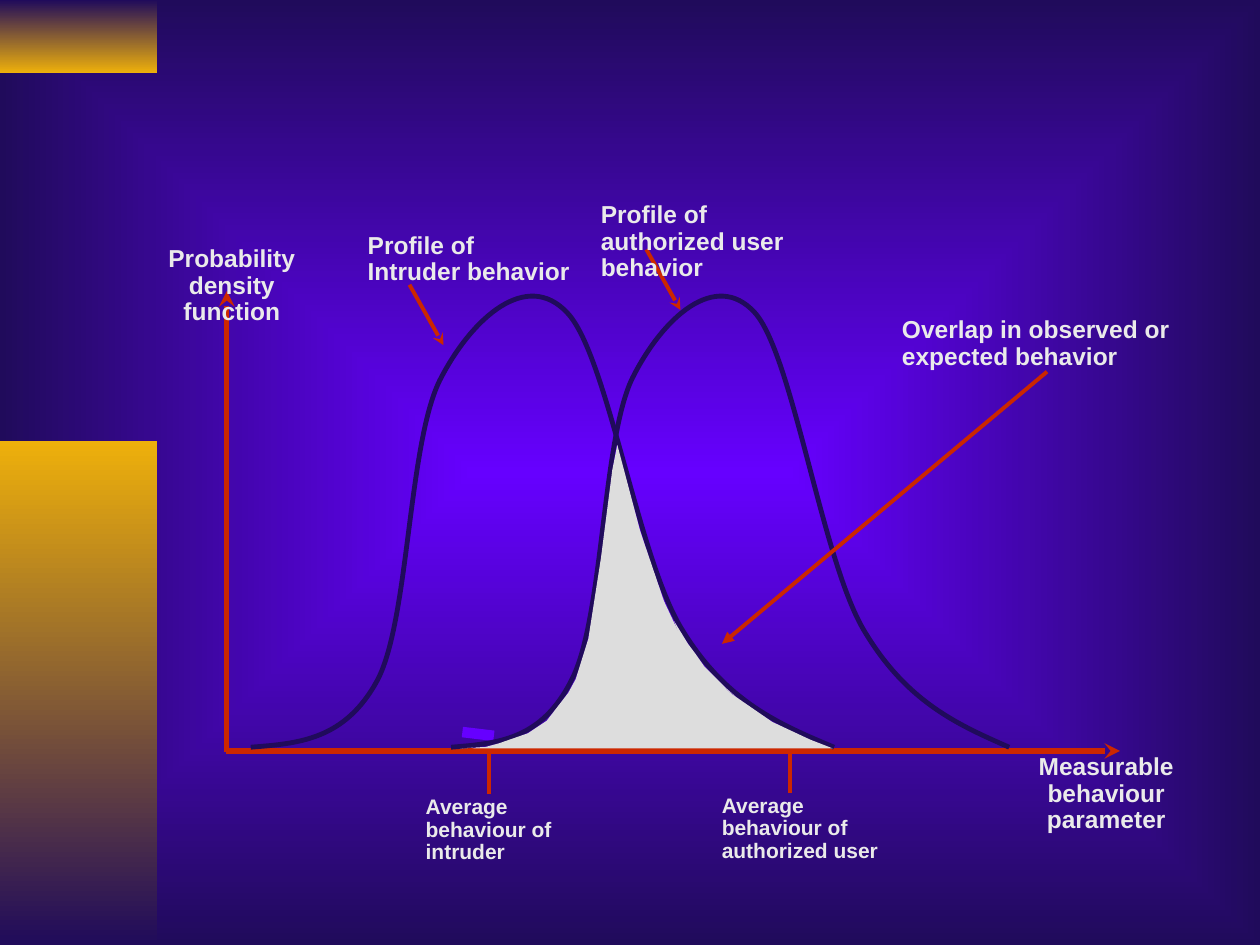
from dataclasses import dataclass

from lxml.etree import SubElement
from pptx import Presentation
from pptx.dml.color import RGBColor
from pptx.enum.shapes import MSO_CONNECTOR as Connector, MSO_SHAPE as Shape
from pptx.enum.text import MSO_AUTO_SIZE as AutoSize, PP_ALIGN as Align
from pptx.oxml.ns import qn
from pptx.util import Emu, Pt

PX = 9144  # EMU in one px; 100 px make an inch
COLORS = {
    "violet": "6600FF",
    "navy": "200B5B",
    "gold": "EEB00B",
    "red": "CC2700",
    "grey": "DDDDDD",
    "text": "EAEAEA",
}
Point = tuple[int, int]


@dataclass
class Panel:
    top: int
    height: int
    start: str
    end: str


@dataclass
class Line:
    start: Point
    end: Point
    width: float = 2.25
    head: str = ""
    color: str = "red"


@dataclass
class Label:
    text: str
    left: int
    top: int
    width: int
    height: int
    size: int = 14
    align: Align = Align.LEFT


PANELS = [Panel(0, 58, "navy", "gold"), Panel(350, 400, "gold", "navy")]
AXES = [
    Line((180, 597), (180, 231), 3, "stealth"),
    Line((179, 596), (889, 596), 3, "stealth"),
    Line((367, 581), (392, 584), 6, color="violet"),
]
POINTERS = [
    Line((831, 295), (573, 511), head="triangle"),
    Line((513, 198), (540, 246), head="stealth"),
    Line((325, 226), (352, 274), head="stealth"),
]
TICKS = [Line((388, 598), (388, 630)), Line((627, 596), (627, 629))]
# Each curve is a start point followed by Bezier triples.
INTRUDER_CURVE = [
    (199, 593),
    (236, 590), (274, 588), (300, 539),
    (325, 490), (324, 349), (350, 300),
    (375, 252), (418, 214), (450, 248),
    (482, 281), (506, 442), (541, 499),
    (576, 557), (619, 575), (662, 593),
]
USER_CURVE = [
    (358, 593),
    (394, 590), (430, 588), (454, 539),
    (479, 490), (478, 349), (502, 300),
    (526, 252), (568, 214), (599, 248),
    (629, 281), (652, 442), (685, 499),
    (719, 557), (760, 575), (801, 593),
]
OVERLAP = [
    (365, 594), (385, 593), (396, 590), (419, 582), (434, 572), (451, 550),
    (457, 539), (467, 507), (477, 443), (486, 373), (490, 353), (508, 421),
    (511, 430), (527, 477), (549, 524), (581, 551), (613, 573), (643, 587),
    (661, 594), (375, 594), (383, 593),
]
OVERLAP_EDGE = [
    (535, 493), (546, 511), (552, 519), (559, 529), (567, 537), (576, 546),
    (584, 553), (546, 524), (535, 493),
]
LABELS = [
    Label("Overlap in observed or expected behavior", 706, 247, 239, 52),
    Label("Profile of authorized user behavior", 467, 156, 204, 73),
    Label("Profile of Intruder behavior", 282, 180, 183, 52),
    Label("Probability density function", 102, 191, 164, 73, align=Align.CENTER),
    Label("Average behaviour of intruder", 328, 627, 162, 64, 12),
    Label("Average behaviour of authorized user", 563, 626, 162, 64, 12),
    Label("Measurable behaviour parameter", 773, 594, 210, 73, align=Align.CENTER),
]


def px(length: int) -> Emu:
    return Emu(length * PX)


def rgb(name: str) -> RGBColor:
    return RGBColor.from_string(COLORS[name])


def set_gradient(fill, start: str, end: str) -> None:
    fill.gradient()
    for stop, name in zip(fill.gradient_stops, (start, end)):
        stop.color.rgb = rgb(name)
    fill.gradient_angle = 270


def paint_background(page) -> None:
    """Fill the page with a gradient that spreads from its centre."""
    set_gradient(page.background.fill, "violet", "navy")
    gradient = page.element.xpath(".//p:bgPr/a:gradFill")[0]
    linear = gradient.find(qn("a:lin"))
    spread = SubElement(gradient, qn("a:path"), path="rect")
    SubElement(spread, qn("a:fillToRect"), l="50000", t="50000", r="50000", b="50000")
    gradient.replace(linear, spread)


def draw_panel(page, panel: Panel) -> None:
    box = page.shapes.add_shape(
        Shape.RECTANGLE, 0, px(panel.top), px(125), px(panel.height)
    )
    box.shadow.inherit = False
    box.line.fill.background()
    set_gradient(box.fill, panel.start, panel.end)


def draw_line(page, line: Line) -> None:
    ends = [px(value) for value in line.start + line.end]
    connector = page.shapes.add_connector(Connector.STRAIGHT, *ends)
    connector.line.color.rgb = rgb(line.color)
    connector.line.width = Pt(line.width)
    if line.head:
        SubElement(connector.line._get_or_add_ln(), qn("a:tailEnd"), type=line.head)
    SubElement(connector.element.spPr, qn("a:effectLst"))


def draw_outline(page, points: list[Point]):
    builder = page.shapes.build_freeform(*points[0], scale=PX)
    builder.add_line_segments(points[1:], close=False)
    outline = builder.convert_to_shape()
    outline.shadow.inherit = False
    return outline


def draw_region(page, points: list[Point]) -> None:
    region = draw_outline(page, points)
    region.fill.solid()
    region.fill.fore_color.rgb = rgb("grey")
    region.line.fill.background()


def draw_curve(page, points: list[Point]) -> None:
    """Turn every three straight segments of an outline into one Bezier."""
    curve = draw_outline(page, points)
    curve.fill.background()
    curve.line.color.rgb = rgb("navy")
    curve.line.width = Pt(2.75)
    route = curve.element.xpath(".//a:path")[0]
    segments = route.findall(qn("a:lnTo"))
    for first in range(0, len(segments), 3):
        bezier = SubElement(route, qn("a:cubicBezTo"))
        for segment in segments[first:first + 3]:
            bezier.append(segment[0])
            route.remove(segment)


def draw_label(page, label: Label) -> None:
    box = page.shapes.add_textbox(
        px(label.left), px(label.top), px(label.width), px(label.height)
    )
    frame = box.text_frame
    frame.word_wrap = True
    frame.auto_size = AutoSize.SHAPE_TO_FIT_TEXT
    para = frame.paragraphs[0]
    para.alignment = label.align
    para.line_spacing = 0.9
    para.space_before = Pt(8.8 if label.size == 14 else 7.5)
    span = para.add_run()
    span.text = label.text
    span.font.name = "Arial"
    span.font.size = Pt(label.size)
    span.font.bold = True
    span.font.color.rgb = rgb("text")


def main() -> None:
    deck = Presentation()
    deck.slide_width, deck.slide_height = px(1000), px(750)
    page = deck.slides.add_slide(deck.slide_layouts[6])
    paint_background(page)
    layers = [
        (draw_panel, PANELS),
        (draw_line, AXES),
        (draw_curve, [INTRUDER_CURVE, USER_CURVE]),
        (draw_region, [OVERLAP, OVERLAP_EDGE]),
        (draw_line, POINTERS + TICKS),
        (draw_label, LABELS),
    ]
    for draw, items in layers:
        for item in items:
            draw(page, item)
    deck.save("out.pptx")


if __name__ == "__main__":
    main()
